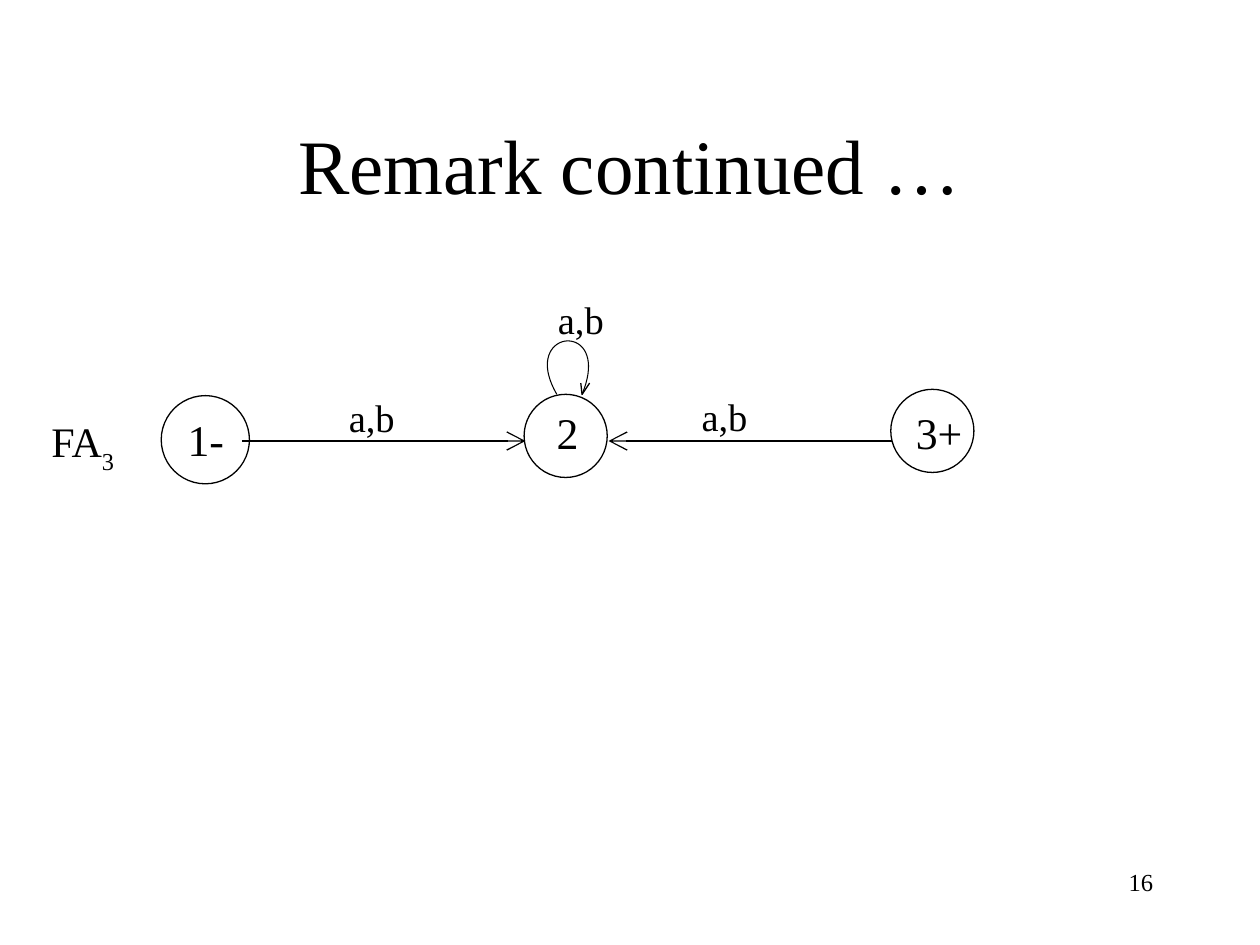
from pptx import Presentation
from pptx.dml.color import RGBColor
from pptx.enum.shapes import MSO_CONNECTOR, MSO_SHAPE
from pptx.enum.text import MSO_ANCHOR, PP_ALIGN
from pptx.oxml.ns import qn
from pptx.util import Inches, Pt
from lxml import etree

OVAL, STRAIGHT = MSO_SHAPE.OVAL, MSO_CONNECTOR.STRAIGHT
LEFT, CENTER, RIGHT = PP_ALIGN.LEFT, PP_ALIGN.CENTER, PP_ALIGN.RIGHT
TOP, MIDDLE = MSO_ANCHOR.TOP, MSO_ANCHOR.MIDDLE
SLIDE_WIDTH, SLIDE_HEIGHT = Inches(10), Inches(7.5)
COLUMNS, ROWS = 100, 75


def color(value):
    return RGBColor.from_string(value)


def across(columns):
    return round(SLIDE_WIDTH * columns / COLUMNS)


def down(rows):
    return round(SLIDE_HEIGHT * rows / ROWS)


def bezier(start, control_1, control_2, end, steps=40):
    """Points along a cubic curve."""
    points = []
    for step in range(steps + 1):
        t = step / steps
        weights = ((1 - t) ** 3, 3 * t * (1 - t) ** 2, 3 * t * t * (1 - t), t ** 3)
        corners = (start, control_1, control_2, end)
        points.append(tuple(sum(w * corner[axis] for w, corner in zip(weights, corners))
                            for axis in (0, 1)))
    return points


class Diagram:
    font_name = "Times New Roman"
    ink = "000000"
    paper = "FFFFFF"
    line_width = 0.75

    def __init__(self, slide):
        self.slide = slide

    def text(self, left, top, width, height, words, size, align=LEFT, anchor=TOP, subscript=""):
        box = self.slide.shapes.add_textbox(across(left), down(top), across(width), down(height))
        frame = box.text_frame
        frame.text = words
        frame.word_wrap = True
        frame.vertical_anchor = anchor
        paragraph = frame.paragraphs[0]
        paragraph.alignment = align
        if subscript:
            run = paragraph.add_run()
            run.text = subscript
            run.font._element.set("baseline", "-30000")
        for run in paragraph.runs:
            run.font.name = self.font_name
            run.font.size = Pt(size)
            run.font.color.rgb = color(self.ink)

    def outline(self, shape, width=line_width):
        shape.line.color.rgb = color(self.ink)
        shape.line.width = Pt(width)

    def state(self, left, top, diameter):
        circle = self.slide.shapes.add_shape(
            OVAL, across(left), down(top), across(diameter), down(diameter))
        circle.shadow.inherit = False
        circle.fill.solid()
        circle.fill.fore_color.rgb = color(self.paper)
        self.outline(circle)

    def arrow(self, start, end, row):
        connector = self.slide.shapes.add_connector(
            STRAIGHT, across(start), down(row), across(end), down(row))
        self.outline(connector)
        properties = connector._element.spPr
        etree.SubElement(connector.line._get_or_add_ln(), qn("a:tailEnd"),
                         type="arrow", w="lg", len="lg")
        etree.SubElement(properties, qn("a:effectLst"))

    def path_line(self, points, width=line_width):
        corners = [(across(x), down(y)) for x, y in points]
        builder = self.slide.shapes.build_freeform(*corners[0])
        builder.add_line_segments(corners[1:], close=False)
        shape = builder.convert_to_shape()
        shape.shadow.inherit = False
        shape.fill.background()
        self.outline(shape, width)


def main():
    presentation = Presentation()
    presentation.slide_width, presentation.slide_height = SLIDE_WIDTH, SLIDE_HEIGHT
    diagram = Diagram(presentation.slides.add_slide(presentation.slide_layouts[6]))

    # Title and automaton name
    diagram.text(7.5, 6.7, 85, 12.5, "Remark continued …", 44, CENTER, MIDDLE)
    diagram.text(3.1, 32.5, 15, 5.7, "FA", 24, subscript="3")

    # States: circle left, top and diameter, then label left, top and words
    for left, top, diameter, label_left, label_top, words in (
            (12.8, 31.4, 7, 13.9, 32.3, "1-"),
            (41.6, 31.3, 6.6, 43.2, 31.7, "2"),
            (70.7, 30.9, 6.6, 71.7, 31.7, "3+")):
        diagram.state(left, top, diameter)
        diagram.text(label_left, label_top, 10.2, 4.2, words, 25)

    # Loop on state 2 with its arrowhead
    diagram.path_line(bezier((44.2, 31.3), (41.1, 26), (48.7, 25.3), (46.2, 31.3)), 0.6)
    diagram.path_line([(46.8, 30.4), (46.2, 31.3), (46.1, 30.4)])

    # Transitions into state 2
    diagram.arrow(19.2, 41.7, 35)
    diagram.arrow(70.8, 48.3, 35)
    for left, top in ((26.7, 30.8), (54.7, 30.7), (43.3, 23)):
        diagram.text(left, top, 7.7, 4.4, "a,b", 22)

    # Page number
    diagram.text(71.7, 68.3, 20.8, 5, "16", 14, RIGHT)

    presentation.save("out.pptx")


if __name__ == "__main__":
    main()
